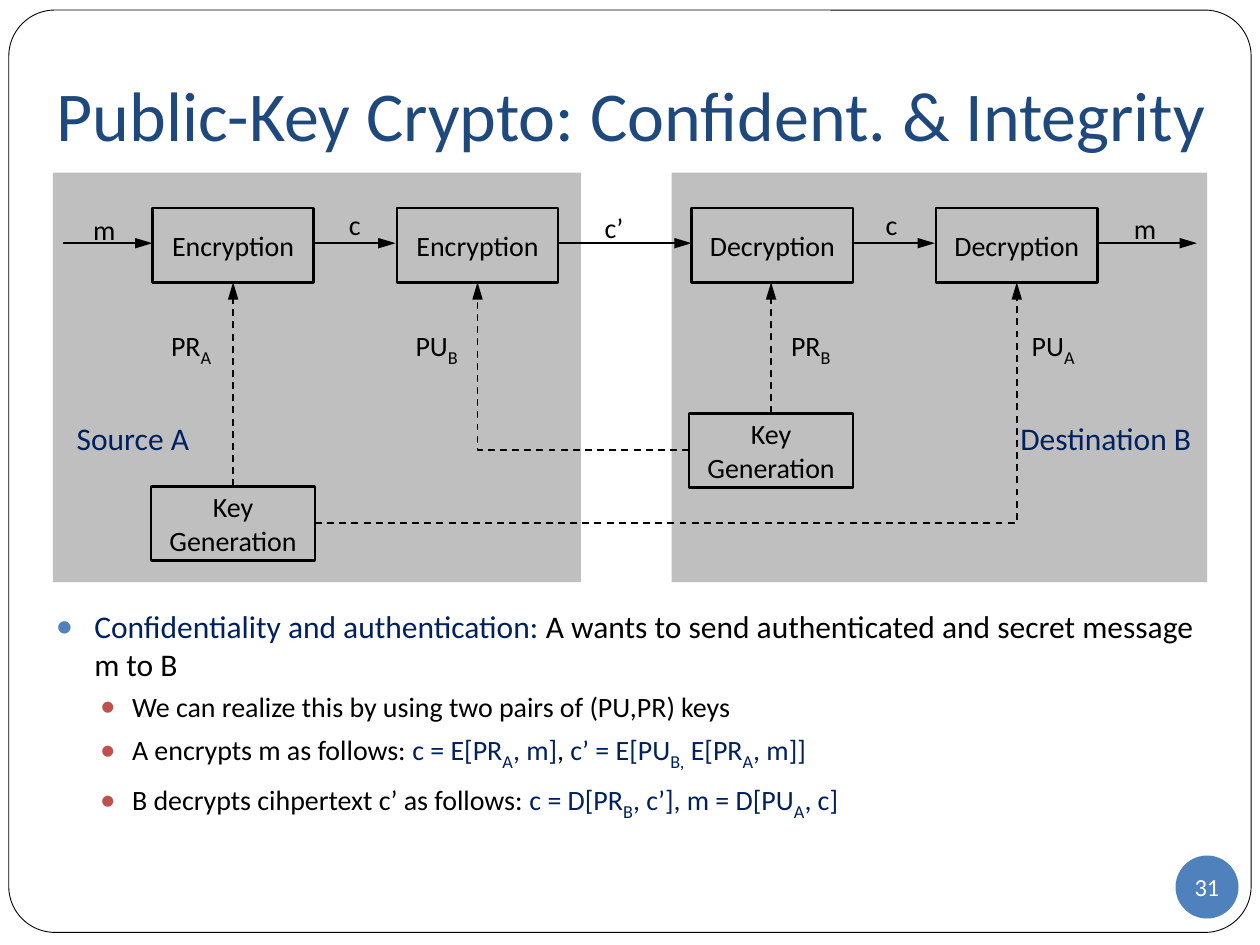
import pptx
import pptx.util
import pptx.dml.color
import pptx.enum.dml
import pptx.enum.shapes
import pptx.enum.text
import pptx.oxml.ns
from lxml import etree

Inches = pptx.util.Inches
Pt = pptx.util.Pt
Shape = pptx.enum.shapes.MSO_SHAPE
Align = pptx.enum.text.PP_ALIGN
Anchor = pptx.enum.text.MSO_ANCHOR
Fit = pptx.enum.text.MSO_AUTO_SIZE
qn = pptx.oxml.ns.qn

FONT = "Calibri"
COLORS = {
    "black": "000000", "white": "FFFFFF", "title": "1F497D", "navy": "002060",
    "blue": "4F81BD", "red": "C0504D", "gray": "BFBFBF",
}
BOX_TOP, BOX_HEIGHT = 1.65, 0.59
BOX_BOTTOM = BOX_TOP + BOX_HEIGHT
FLOW_Y = 1.93


def rgb(name):
    """Return the named colour."""
    return pptx.dml.color.RGBColor.from_string(COLORS[name])


def add_spans(para, text, size, color="black"):
    """Add text to a paragraph, with parts between underscores as subscripts."""
    for index, part in enumerate(text.split("_")):
        if not part:
            continue
        span = para.add_run()
        span.text = part
        span.font.name = FONT
        span.font.color.rgb = rgb(color)
        span.font.size = Pt(size)
        if index % 2:
            span.font.size = Pt(18)
            span.font._element.set("baseline", "-25000")


def add_shape(page, kind, place, fill=None, line=None, width=1.5):
    """Add a preset shape with an optional fill and outline."""
    shape = page.shapes.add_shape(kind, *map(Inches, place))
    shape.shadow.inherit = False
    if fill:
        shape.fill.solid()
        shape.fill.fore_color.rgb = rgb(fill)
    else:
        shape.fill.background()
    if line:
        shape.line.color.rgb = rgb(line)
        shape.line.width = Pt(width)
    else:
        shape.line.fill.background()
    return shape


def add_centered(shape, text, size, color="black"):
    """Write centred text inside a shape."""
    frame = shape.text_frame
    frame.vertical_anchor = Anchor.MIDDLE
    para = frame.paragraphs[0]
    para.alignment = Align.CENTER
    add_spans(para, text, size, color)
    return frame


def add_box(page, left, top, text, width=1.28):
    """Add an outlined process box."""
    box = add_shape(page, Shape.RECTANGLE, (left, top, width, BOX_HEIGHT), line="black")
    add_centered(box, text, 16).word_wrap = True


def add_label(page, left, top, width, height, text, size=16, color="black"):
    """Add a one-line label."""
    box = page.shapes.add_textbox(*map(Inches, (left, top, width, height)))
    box.text_frame.word_wrap = False
    box.text_frame.auto_size = Fit.SHAPE_TO_FIT_TEXT
    add_spans(box.text_frame.paragraphs[0], text, size, color)


def add_arrow(page, start, end, dashed=False, bent=False):
    """Add a straight or single-bend arrow."""
    kinds = pptx.enum.shapes.MSO_CONNECTOR
    kind = kinds.ELBOW if bent else kinds.STRAIGHT
    arrow = page.shapes.add_connector(kind, *map(Inches, (*start, *end)))
    properties = arrow._element.spPr
    if bent:
        properties.find(qn("a:prstGeom")).set("prst", "bentConnector2")
    arrow.line.color.rgb = rgb("black")
    arrow.line.width = Pt(1)
    if dashed:
        arrow.line.dash_style = pptx.enum.dml.MSO_LINE.DASH
    line = properties.find(qn("a:ln"))
    etree.SubElement(line, qn("a:tailEnd"), type="triangle", w="med", len="lg")
    etree.SubElement(properties, qn("a:effectLst"))


def add_bullet(para, margin, indent, color):
    """Give a paragraph a hanging round bullet."""
    properties = para._p.get_or_add_pPr()
    properties.set("marL", str(Inches(margin)))
    properties.set("indent", str(-Inches(indent)))
    bullet_color = etree.SubElement(properties, qn("a:buClr"))
    etree.SubElement(bullet_color, qn("a:srgbClr"), val=COLORS[color])
    etree.SubElement(properties, qn("a:buSzPct"), val="85000")
    etree.SubElement(properties, qn("a:buFont"), typeface=FONT)
    etree.SubElement(properties, qn("a:buChar"), char="●")


def add_title(page, text):
    """Place and format the slide title."""
    title = page.shapes.title
    title.left, title.top, title.width, title.height = map(Inches, (0.35, 0.3, 9.37, 1.25))
    frame = title.text_frame
    frame.word_wrap = True
    frame.auto_size = Fit.NONE
    frame.vertical_anchor = Anchor.MIDDLE
    frame.margin_bottom = Inches(0.1)
    para = frame.paragraphs[0]
    para.alignment = Align.LEFT
    add_spans(para, text, 40, "title")


def add_body(page):
    """Add the bulleted explanation."""
    box = page.shapes.add_textbox(*map(Inches, (0.35, 4.77, 9.37, 2.44)))
    frame = box.text_frame
    frame.word_wrap = True
    para = frame.paragraphs[0]
    add_bullet(para, 0.3, 0.3, "blue")
    add_spans(para, "Confidentiality and authentication:", 18, "navy")
    add_spans(para, " A wants to send authenticated and secret message m to B", 18)
    steps = [
        [("We can realize this by using two pairs of (PU,PR) keys", "black")],
        [("A encrypts m as follows: ", "black"), ("c = E[PR_A_, m]", "navy"),
         (",", "black"), (" c’ = E[PU_B,_ E[PR_A_, m]]", "navy")],
        [("B decrypts cihpertext c’ as follows: ", "black"),
         ("c = D[PR_B_, c’], m = D[PU_A_, c]", "navy")],
    ]
    for step in steps:
        para = frame.add_paragraph()
        para.level = 1
        para.space_before = Pt(3.7)
        add_bullet(para, 0.6, 0.25, "red")
        for text, color in step:
            add_spans(para, text, 16, color)


def add_diagram(page):
    """Draw the encryption and decryption flow."""
    for left, width in ((0.42, 4.19), (5.33, 4.25)):
        add_shape(page, Shape.RECTANGLE, (left, 1.37, width, 3.25), fill="gray")
    for left, text in ((1.21, "Encryption"), (3.15, "Encryption"),
                       (5.49, "Decryption"), (7.43, "Decryption")):
        add_box(page, left, BOX_TOP, text)
    for left, top in ((1.2, 3.86), (5.47, 3.28)):
        add_box(page, left, top, "Key Generation", 1.3)
    for start, end in ((0.5, 1.21), (2.49, 3.14), (4.43, 5.49), (6.77, 7.42), (8.71, 9.5)):
        add_arrow(page, (start, FLOW_Y), (end, FLOW_Y))
    for start, target in (((1.85, 3.86), 1.85), ((6.12, 3.28), 6.12),
                          ((2.5, 4.15), 8.07), ((5.47, 3.57), 3.79)):
        add_arrow(page, start, (target, BOX_BOTTOM), True, start[0] != target)
    for left, top, width, text in ((0.64, 1.64, 0.37, "m"), (2.67, 1.6, 0.29, "c"),
                                   (4.7, 1.62, 0.35, "c’"), (6.93, 1.6, 0.29, "c"),
                                   (8.9, 1.63, 0.37, "m")):
        add_label(page, left, top, width, 0.37, text)
    for left, width, text in ((1.26, 0.53, "PR_A_"), (3.2, 0.57, "PU_B_"),
                              (6.18, 0.53, "PR_B_"), (8.09, 0.57, "PU_A_")):
        add_label(page, left, 2.53, width, 0.44, text)
    for left, width, text in ((0.51, 1.09, "Source A"), (8, 1.56, "Destination B")):
        add_label(page, left, 3.28, width, 0.4, text, 18, "navy")


def add_page_number(page, text):
    """Add the round page number."""
    badge = add_shape(page, Shape.OVAL, (9.33, 6.79, 0.5, 0.5), fill="blue")
    frame = add_centered(badge, text, 14, "white")
    frame.word_wrap = False
    frame.margin_left = frame.margin_right = frame.margin_top = frame.margin_bottom = 0


def main():
    """Build and save the slide."""
    deck = pptx.Presentation()
    deck.slide_width, deck.slide_height = Inches(10), Inches(7.5)
    page = deck.slides.add_slide(deck.slide_layouts[5])
    border = add_shape(page, Shape.ROUNDED_RECTANGLE, (0.07, 0.08, 9.86, 7.32),
                       "white", "black", 0.5)
    border.adjustments[0] = 0.05
    page.shapes._spTree.insert(2, border._element)
    add_title(page, "Public-Key Crypto: Confident. & Integrity")
    add_body(page)
    add_page_number(page, "31")
    add_diagram(page)
    deck.save("out.pptx")


if __name__ == "__main__":
    main()
